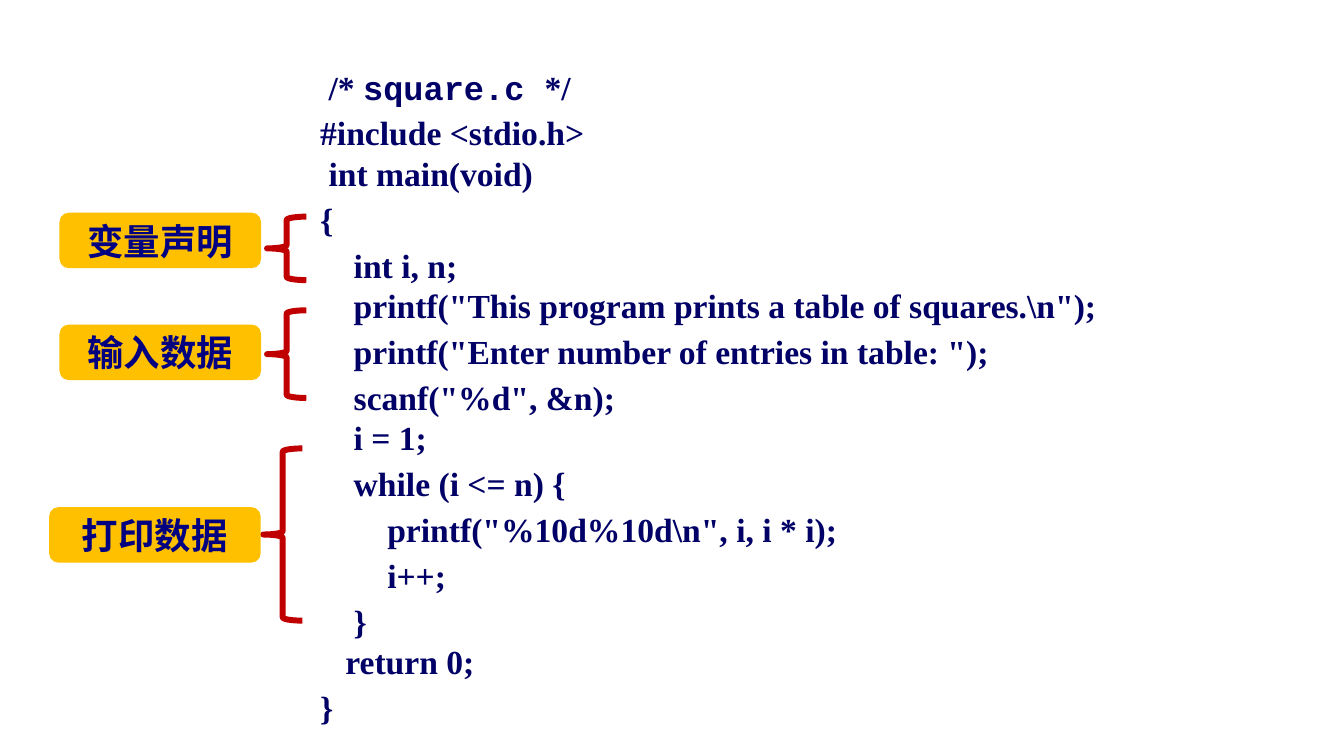
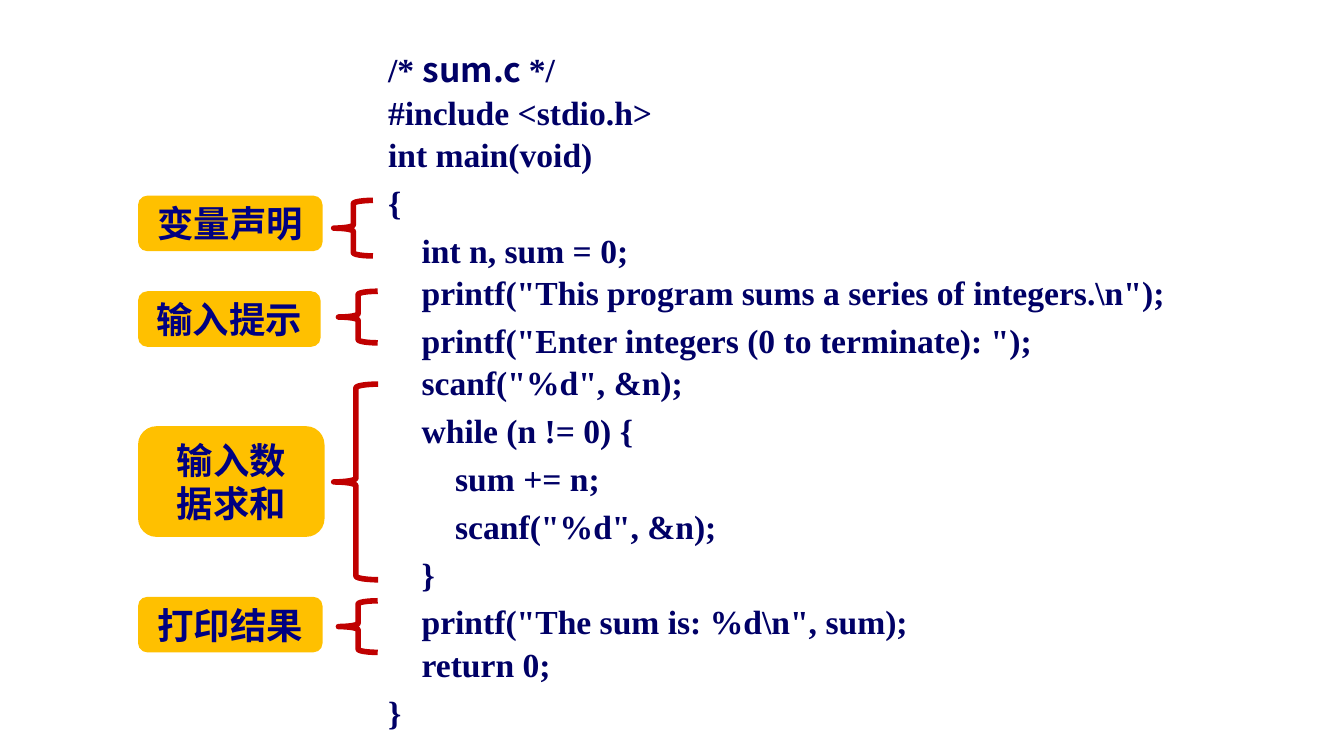
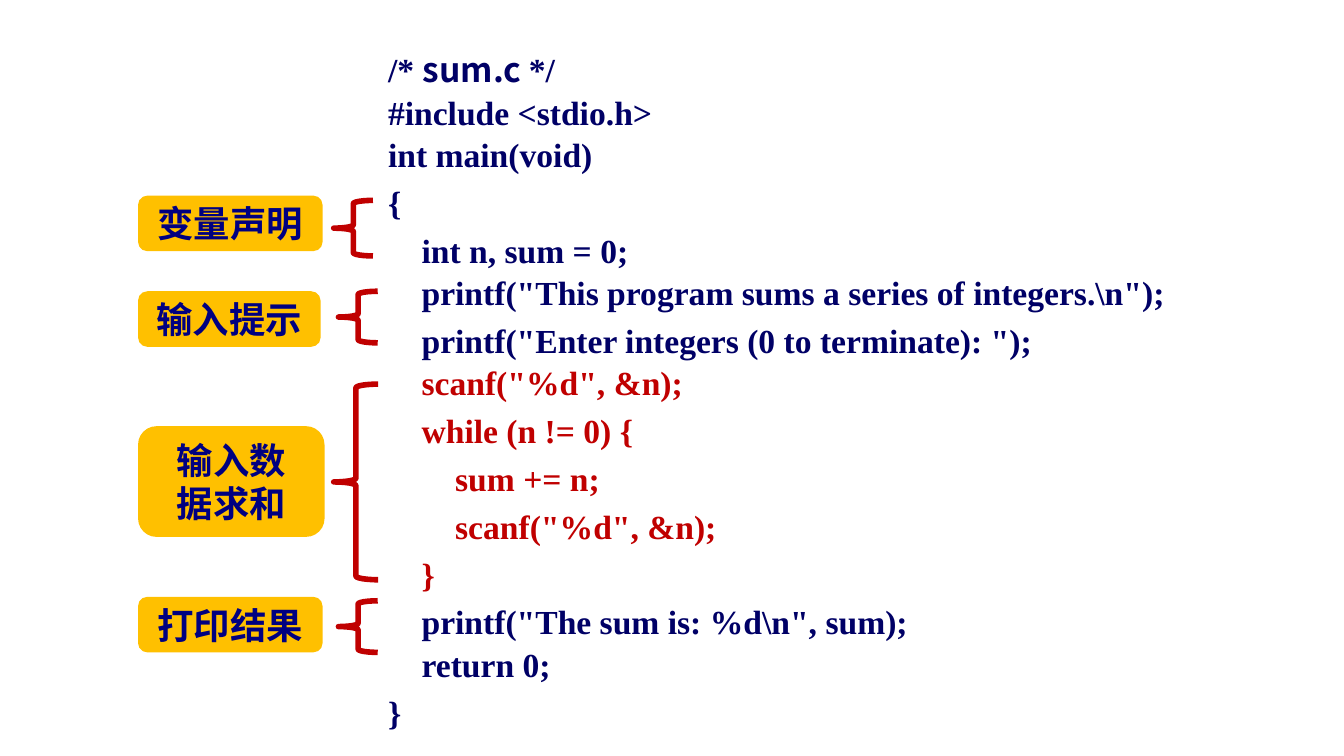
"""Build three slides that label the parts of two short C programs."""
from dataclasses import dataclass

from lxml.etree import SubElement
from pptx import Presentation
from pptx.dml.color import RGBColor
from pptx.enum.shapes import MSO_SHAPE as Preset
from pptx.enum.text import MSO_ANCHOR as Anchor, PP_ALIGN as Align
from pptx.oxml.ns import qn
from pptx.util import Cm, Pt


@dataclass(frozen=True)
class Theme:
    """Colours, fonts and type sizes."""
    code_color: RGBColor = RGBColor(0x00, 0x00, 0x66)
    label_color: RGBColor = RGBColor(0x00, 0x00, 0x80)
    label_fill: RGBColor = RGBColor(0xFF, 0xC0, 0x00)
    accent: RGBColor = RGBColor(0xC0, 0x00, 0x00)
    code_font: str = "Times New Roman"
    mono_font: str = "Courier New"
    label_font: str = "Noto Sans CJK SC"
    code_size: Pt = Pt(24)
    label_size: Pt = Pt(26)
    label_leading: Pt = Pt(31.2)
    line_gap: Pt = Pt(4)


THEME = Theme()

SQUARE = {
    "box": (7.82, 1.55, 21.59, 16.84),
    "leading": 28.8,
    "brace_width": 4.25,
    "heading": (" /* ", "square.c ", "*/"),
    "file_font": THEME.mono_font,
    "blocks": [
        ["#include <stdio.h>"],
        [" int main(void)", "{", "    int i, n;"],
        [
            '    printf("This program prints a table of squares.\\n");',
            '    printf("Enter number of entries in table: ");',
            '    scanf("%d", &n);',
        ],
        [
            "    i = 1;",
            "    while (i <= n) {",
            '        printf("%10d%10d\\n", i, i * i);',
            "        i++;",
            "    }",
        ],
        ["   return 0;", "}"],
    ],
    "heading_gap": True,
    "notes": [
        (["变量声明"], (1.5, 5.36, 5.08, 1.4), (6.73, 5.46, 0.99, 1.6)),
        (["输入数据"], (1.5, 8.18, 5.08, 1.4), (6.73, 7.82, 0.99, 2.21)),
        (["打印数据"], (1.24, 12.78, 5.33, 1.4), (6.63, 11.3, 0.99, 4.34)),
    ],
}

SUM = {
    "box": (9.53, 1.07, 21.59, 17.4),
    "leading": 30.2,
    "brace_width": 4,
    "heading": ("/* ", "sum.c ", "*/"),
    "file_font": THEME.label_font,
    "blocks": [
        ["#include <stdio.h>"],
        ["int main(void)", "{", "    int n, sum = 0;"],
        [
            '    printf("This program sums a series of integers.\\n");',
            '    printf("Enter integers (0 to terminate): ");',
        ],
        [
            '    scanf("%d", &n);',
            "    while (n != 0) {",
            "        sum += n;",
            '        scanf("%d", &n);',
            "    }",
            '    printf("The sum is: %d\\n", sum);',
        ],
        ["    return 0;", "}"],
    ],
    "heading_gap": False,
    "notes": [
        (["变量声明"], (3.48, 4.93, 4.65, 1.4), (8.41, 5.05, 0.99, 1.4)),
        (["输入提示"], (3.48, 7.34, 4.6, 1.4), (8.53, 7.34, 0.99, 1.3)),
        (["输入数", "据求和"], (3.48, 10.74, 4.7, 2.79), (8.41, 9.68, 1.12, 4.93)),
        (["打印结果"], (3.48, 15.04, 4.65, 1.4), (8.53, 15.14, 0.99, 1.3)),
    ],
}

SUM_LOOP = range(6, 11)
SLIDES = [(SQUARE, ()), (SUM, ()), (SUM, SUM_LOOP)]


def apply(target, **values):
    for name, value in values.items():
        setattr(target, name, value)


def place(box):
    return [Cm(length) for length in box]


def add_run(paragraph, text, font_name, size, color):
    run = paragraph.add_run()
    run.text = text
    apply(run.font, name=font_name, size=size, bold=True)
    run.font.color.rgb = color
    SubElement(run.font._element, qn("a:ea"), typeface=THEME.label_font)


def add_paragraph(frame, is_first, **values):
    paragraph = frame.paragraphs[0] if is_first else frame.add_paragraph()
    apply(paragraph, **values)
    return paragraph


def code_lines(program):
    for block in program["blocks"]:
        for position, text in enumerate(block):
            heading_follows = block is program["blocks"][0] and program["heading_gap"]
            yield text, position > 0 or heading_follows


def add_code(slide, program, highlighted):
    frame = slide.shapes.add_textbox(*place(program["box"])).text_frame
    frame.word_wrap = True
    leading = Pt(program["leading"])
    heading = add_paragraph(frame, True, line_spacing=leading)
    fonts = (THEME.code_font, program["file_font"], THEME.code_font)
    for text, font_name in zip(program["heading"], fonts):
        add_run(heading, text, font_name, THEME.code_size, THEME.code_color)
    for index, (text, spaced) in enumerate(code_lines(program)):
        gap = THEME.line_gap if spaced else Pt(0)
        paragraph = add_paragraph(frame, False, line_spacing=leading, space_before=gap)
        color = THEME.accent if index in highlighted else THEME.code_color
        add_run(paragraph, text, THEME.code_font, THEME.code_size, color)


def add_brace(slide, box, width):
    brace = slide.shapes.add_shape(Preset.LEFT_BRACE, *place(box))
    brace.shadow.inherit = False
    brace.fill.background()
    brace.line.color.rgb = THEME.accent
    brace.line.width = Pt(width)


def add_label(slide, lines, box):
    label = slide.shapes.add_shape(Preset.ROUNDED_RECTANGLE, *place(box))
    label.shadow.inherit = False
    label.fill.solid()
    label.fill.fore_color.rgb = THEME.label_fill
    label.line.fill.background()
    frame = label.text_frame
    apply(frame, word_wrap=True, vertical_anchor=Anchor.MIDDLE)
    for index, text in enumerate(lines):
        paragraph = add_paragraph(frame, index == 0, alignment=Align.CENTER,
                                  line_spacing=THEME.label_leading)
        add_run(paragraph, text, THEME.label_font, THEME.label_size, THEME.label_color)


def main():
    presentation = Presentation()
    apply(presentation, slide_width=Cm(33.87), slide_height=Cm(19.05))
    blank_layout = presentation.slide_layouts[6]
    for program, highlighted in SLIDES:
        slide = presentation.slides.add_slide(blank_layout)
        add_code(slide, program, highlighted)
        for lines, label_box, brace_box in program["notes"]:
            add_brace(slide, brace_box, program["brace_width"])
            add_label(slide, lines, label_box)
    presentation.save("out.pptx")


if __name__ == "__main__":
    main()
